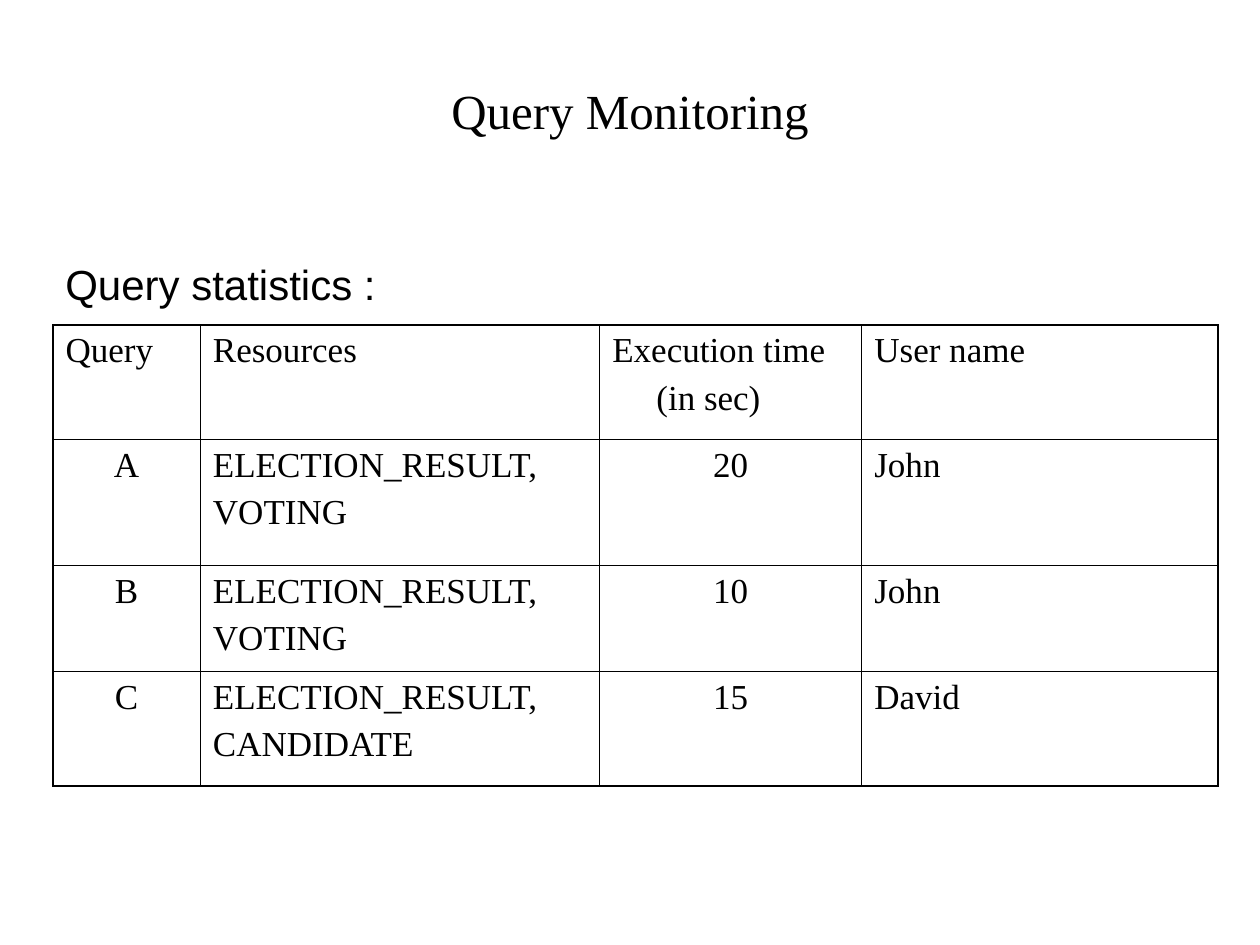
"""Build the Query Monitoring slide with its query statistics table."""
from lxml import etree
from pptx import Presentation
from pptx import util as u
from pptx.dml.color import RGBColor
from pptx.enum import text
from pptx.oxml import ns

BLACK = RGBColor(0, 0, 0)
SERIF = "Times New Roman"
THIN, THICK = u.Pt(0.45), u.Pt(1.08)
COLUMNS = [1.17, 3.17, 2.08, 2.83]
ROWS = [0.91, 1, 0.84, 0.91]
STATISTICS = [
    ["Query", "Resources", "Execution time\n(in sec)", "User name"],
    ["A", "ELECTION_RESULT,\nVOTING", "20", "John"],
    ["B", "ELECTION_RESULT,\nVOTING", "10", "John"],
    ["C", "ELECTION_RESULT,\nCANDIDATE", "15", "David"],
]


def style(para, size, name):
    for span in para.runs:
        span.font.size = u.Pt(size)
        span.font.name = name
        span.font.color.rgb = BLACK


def add_border(cell, side, width):
    line = etree.SubElement(cell._tc.get_or_add_tcPr(), ns.qn(f"a:ln{side}"), w=str(width))
    fill = etree.SubElement(line, ns.qn("a:solidFill"))
    etree.SubElement(fill, ns.qn("a:srgbClr"), val=str(BLACK))


deck = Presentation()
deck.slide_width, deck.slide_height = u.Inches(10), u.Inches(7.5)
page = deck.slides.add_slide(deck.slide_layouts[5])

title = page.shapes.title
title.left, title.top = u.Inches(0.75), u.Inches(0.25)
title.width, title.height = u.Inches(8.5), u.Inches(1.25)
title.text_frame.text = "Query Monitoring"
title.text_frame.vertical_anchor = text.MSO_ANCHOR.MIDDLE
title.text_frame.paragraphs[0].alignment = text.PP_ALIGN.CENTER
style(title.text_frame.paragraphs[0], 28, SERIF)

frame = page.shapes.add_table(len(ROWS), len(COLUMNS), u.Inches(0.42), u.Inches(2.58),
                              u.Inches(sum(COLUMNS)), u.Inches(sum(ROWS)))
table = frame.table
table.first_row = table.horz_banding = False
for column, width in zip(table.columns, COLUMNS):
    column.width = u.Inches(width)
for row, height in zip(table.rows, ROWS):
    row.height = u.Inches(height)

for r, record in enumerate(STATISTICS):
    for c, words in enumerate(record):
        cell = table.cell(r, c)
        outer = {"L": c == 0, "R": c == len(COLUMNS) - 1, "T": r == 0, "B": r == len(ROWS) - 1}
        for side, is_outer in outer.items():
            add_border(cell, side, THICK if is_outer else THIN)
        cell.fill.background()
        cell.text_frame.text = words
        for index, para in enumerate(cell.text_frame.paragraphs):
            centred = r > 0 and c in (0, 2)
            para.alignment = text.PP_ALIGN.CENTER if centred else text.PP_ALIGN.LEFT
            if index:
                para.space_before = u.Pt(5)
            style(para, 20, SERIF)

unit = table.cell(0, 2).text_frame.paragraphs[1]
unit._p.get_or_add_pPr().set("marL", str(u.Inches(0.35)))

heading = page.shapes.add_textbox(u.Inches(0.42), u.Inches(2), u.Inches(6), u.Inches(0.5))
heading.text_frame.word_wrap = True
heading.text_frame.text = "Query statistics :"
style(heading.text_frame.paragraphs[0], 24, "Arial")

deck.save("out.pptx")
